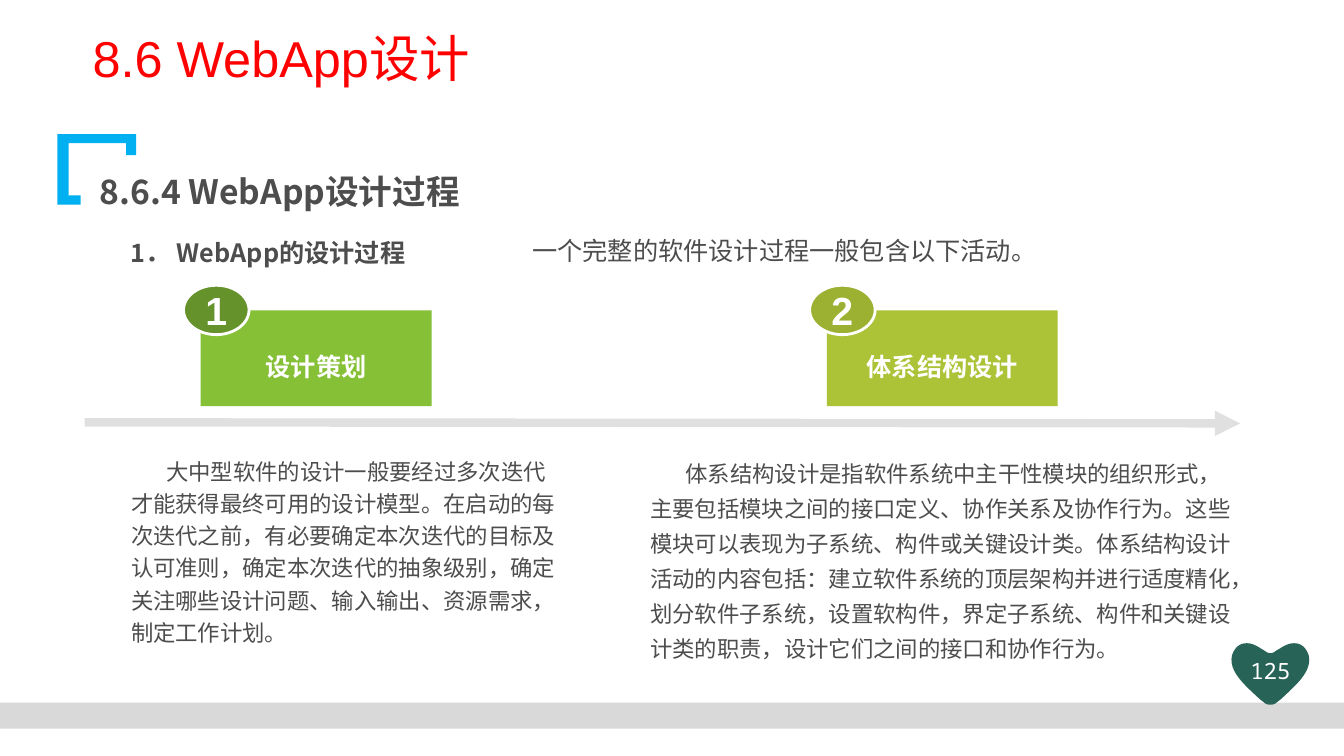
from lxml.etree import SubElement
from pptx import Presentation
from pptx.dml.color import RGBColor
from pptx.enum.shapes import MSO_CONNECTOR, MSO_SHAPE
from pptx.enum.text import MSO_ANCHOR, PP_ALIGN
from pptx.oxml.ns import qn
from pptx.util import Inches, Pt

SANS = "Noto Sans CJK SC"
GREY = "4D4D4D"
WHITE = "FFFFFF"


def rgb(value):
    return RGBColor.from_string(value)


def set_all(target, values):
    for name, value in values.items():
        setattr(target, name, value)


def bezier(start, first, second, end, steps=12):
    for step in range(1, steps + 1):
        t = step / steps
        weights = ((1 - t) ** 3, 3 * t * (1 - t) ** 2, 3 * t * t * (1 - t), t ** 3)
        yield tuple(
            sum(w * point[axis] for w, point in zip(weights, (start, first, second, end)))
            for axis in (0, 1)
        )


class SlideBuilder:
    margins = (0.1, 0.05, 0.1, 0.05)

    def __init__(self, slide):
        self.slide = slide
        self.shapes = slide.shapes

    def paint(self, shape, fill, outline=None):
        shape.shadow.inherit = False
        shape.fill.solid()
        shape.fill.fore_color.rgb = rgb(fill)
        if outline:
            shape.line.color.rgb = rgb(outline)
            shape.line.width = Pt(2)
        else:
            shape.line.fill.background()

    def set_text(self, shape, content, size, color=GREY, face=SANS, bold=False,
                 margins=margins, indent=0, **layout):
        frame = shape.text_frame
        sides = ("margin_left", "margin_top", "margin_right", "margin_bottom")
        set_all(frame, dict(zip(sides, map(Inches, margins))))
        paragraph = frame.paragraphs[0]
        set_all(paragraph, layout)
        if indent:
            paragraph._p.get_or_add_pPr().set("indent", str(Inches(indent)))
        run = paragraph.add_run()
        run.text = content
        set_all(run.font, {"size": Pt(size), "name": face, "bold": bold})
        run.font.color.rgb = rgb(color)
        east_asian = SubElement(run._r.get_or_add_rPr(), qn("a:ea"))
        east_asian.set("typeface", SANS)

    def text(self, box, content, size, wrap=True, **style):
        shape = self.shapes.add_textbox(*map(Inches, box))
        set_all(shape.text_frame, {"word_wrap": wrap, "vertical_anchor": MSO_ANCHOR.TOP})
        self.set_text(shape, content, size, **style)

    def block(self, kind, box, fill, outline=None, content=None, **style):
        shape = self.shapes.add_shape(kind, *map(Inches, box))
        self.paint(shape, fill, outline)
        if content:
            shape.text_frame.vertical_anchor = MSO_ANCHOR.MIDDLE
            self.set_text(shape, content, color=WHITE, bold=True,
                          alignment=PP_ALIGN.CENTER, **style)

    def outline(self, points, fill):
        corners = [(Inches(x), Inches(y)) for x, y in points]
        builder = self.shapes.build_freeform(*corners[0])
        builder.add_line_segments(corners[1:], close=True)
        self.paint(builder.convert_to_shape(), fill)

    def arrow(self, start, end, color, width):
        connector = self.shapes.add_connector(
            MSO_CONNECTOR.STRAIGHT, *map(Inches, start + end))
        connector.line.color.rgb = rgb(color)
        connector.line.width = Pt(width)
        properties = connector._element.spPr
        SubElement(properties.find(qn("a:ln")), qn("a:tailEnd")).set("type", "triangle")
        SubElement(properties, qn("a:effectLst"))

    def heart(self, center, fill):
        right = [(center, 6.48)]
        right += bezier(right[-1], (12.62, 6.48), (12.64, 6.47), (12.65, 6.46))
        right.append((12.7, 6.43))
        right += bezier(right[-1], (12.8, 6.36), (12.93, 6.35), (12.98, 6.5))
        right += bezier(right[-1], (13.02, 6.66), (12.85, 6.8), (12.7, 6.94))
        right.append((12.66, 6.97))
        right += bezier(right[-1], (12.64, 6.99), (12.62, 6.99), (center, 6.99))
        left = [(2 * center - x, y) for x, y in reversed(right[1:-1])]
        self.outline(right + left, fill)

    def activity(self, left, number, name, fill, badge_fill):
        self.block(MSO_SHAPE.RECTANGLE, (left, 3.08, 2.29, 0.95), fill,
                   content=name, size=18, margins=(0.1, 0.2, 0.1, 0.05))
        self.block(MSO_SHAPE.OVAL, (left - 0.17, 2.83, 0.65, 0.49), badge_fill, WHITE,
                   content=number, size=28, face="Arial")


def main():
    presentation = Presentation()
    set_all(presentation, {"slide_width": Inches(13.33), "slide_height": Inches(7.5)})
    page = SlideBuilder(presentation.slides.add_slide(presentation.slide_layouts[6]))

    page.outline([(0.57, 1.33), (1.35, 1.33), (1.35, 1.54), (1.25, 1.54), (1.25, 1.42),
                  (0.68, 1.42), (0.68, 1.94), (0.8, 1.94), (0.8, 2.03), (0.57, 2.03)],
                 "00B0F0")
    page.block(MSO_SHAPE.RECTANGLE, (0, 6.97, 13.33, 0.26), "D9D9D9")
    page.heart(12.6, "276357")
    page.text((12.25, 6.47, 0.7, 0.39), "125", 16, color=WHITE,
              face="Noto Sans Mono", alignment=PP_ALIGN.CENTER)

    page.text((0.82, 0.29, 9.2, 0.94), "8.6 WebApp设计", 36, color="FF0000",
              face="Arial", line_spacing=0.9)
    page.text((0.89, 1.53, 6.32, 0.57), "8.6.4 WebApp设计过程", 24,
              bold=True, line_spacing=1.3)
    page.text((0.93, 2.28, 5.42, 0.41), "1． WebApp的设计过程", 18,
              bold=True, indent=0.27, line_spacing=1.1)
    page.text((5.18, 2.29, 5.25, 0.4), "一个完整的软件设计过程一般包含以下活动。", 18,
              wrap=False)

    page.arrow((0.84, 4.19), (12.3, 4.2), "E0E0E0", 6)
    activities = [
        (1.99, "设计策划", "85C036", "65922A", (1.3, 4.44, 4.26, 2.25), 1.2,
         "大中型软件的设计一般要经过多次迭代才能获得最终可用的设计模型。"
         "在启动的每次迭代之前，有必要确定本次迭代的目标及认可准则，"
         "确定本次迭代的抽象级别，确定关注哪些设计问题、输入输出、资源需求，制定工作计划。"),
        (8.2, "体系结构设计", "ACC337", "9CB032", (6.45, 4.44, 5.8, 2.6), 1.3,
         "体系结构设计是指软件系统中主干性模块的组织形式，"
         "主要包括模块之间的接口定义、协作关系及协作行为。"
         "这些模块可以表现为子系统、构件或关键设计类。"
         "体系结构设计活动的内容包括：建立软件系统的顶层架构并进行适度精化，"
         "划分软件子系统，设置软构件，界定子系统、构件和关键设计类的职责，"
         "设计它们之间的接口和协作行为。"),
    ]
    for number, (left, name, fill, badge_fill, box, spacing, detail) in enumerate(activities, 1):
        page.activity(left, str(number), name, fill, badge_fill)
        page.text(box, detail, 16, margins=(0, 0.05, 0, 0.05), indent=0.35,
                  line_spacing=spacing)

    presentation.save("out.pptx")


if __name__ == "__main__":
    main()
